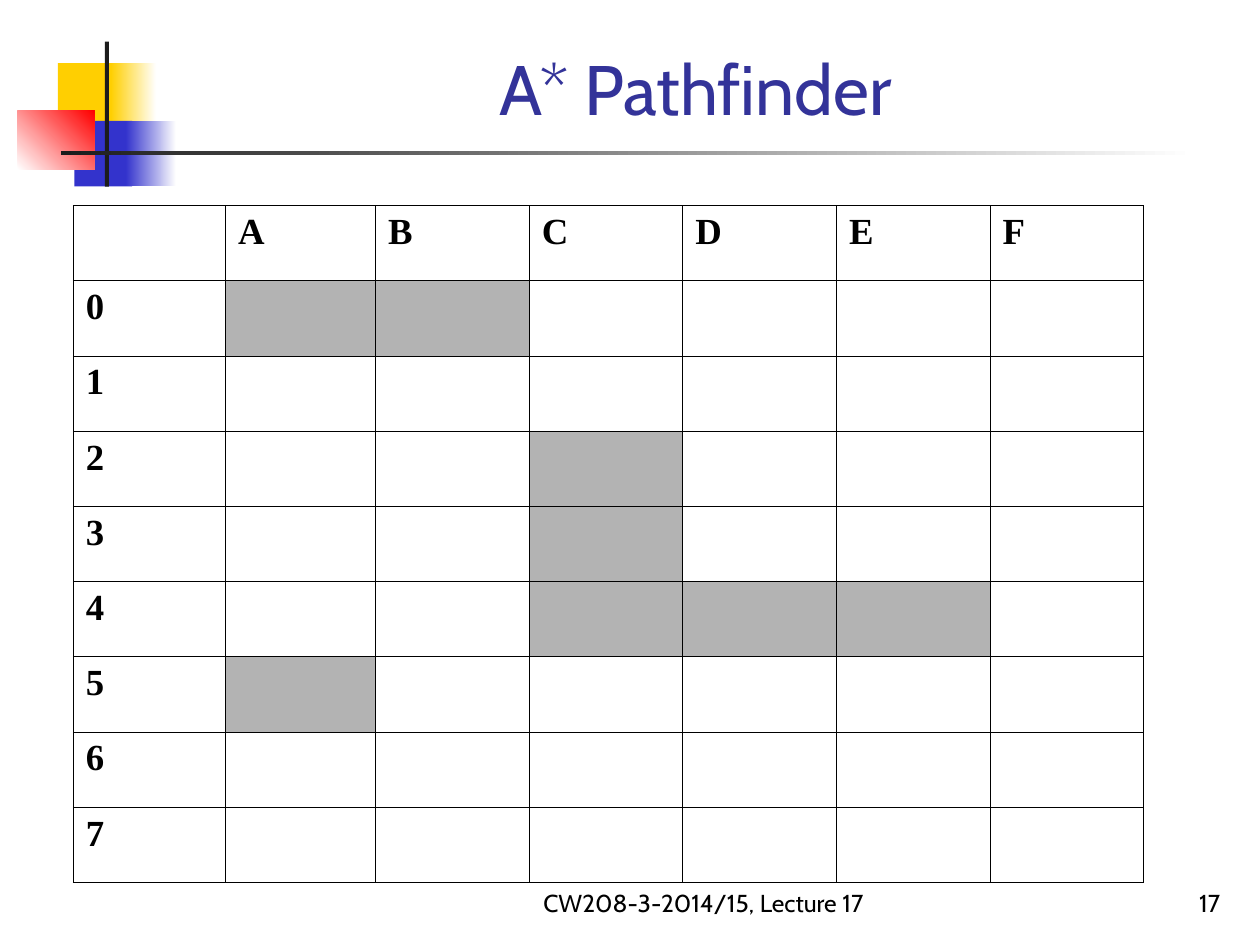
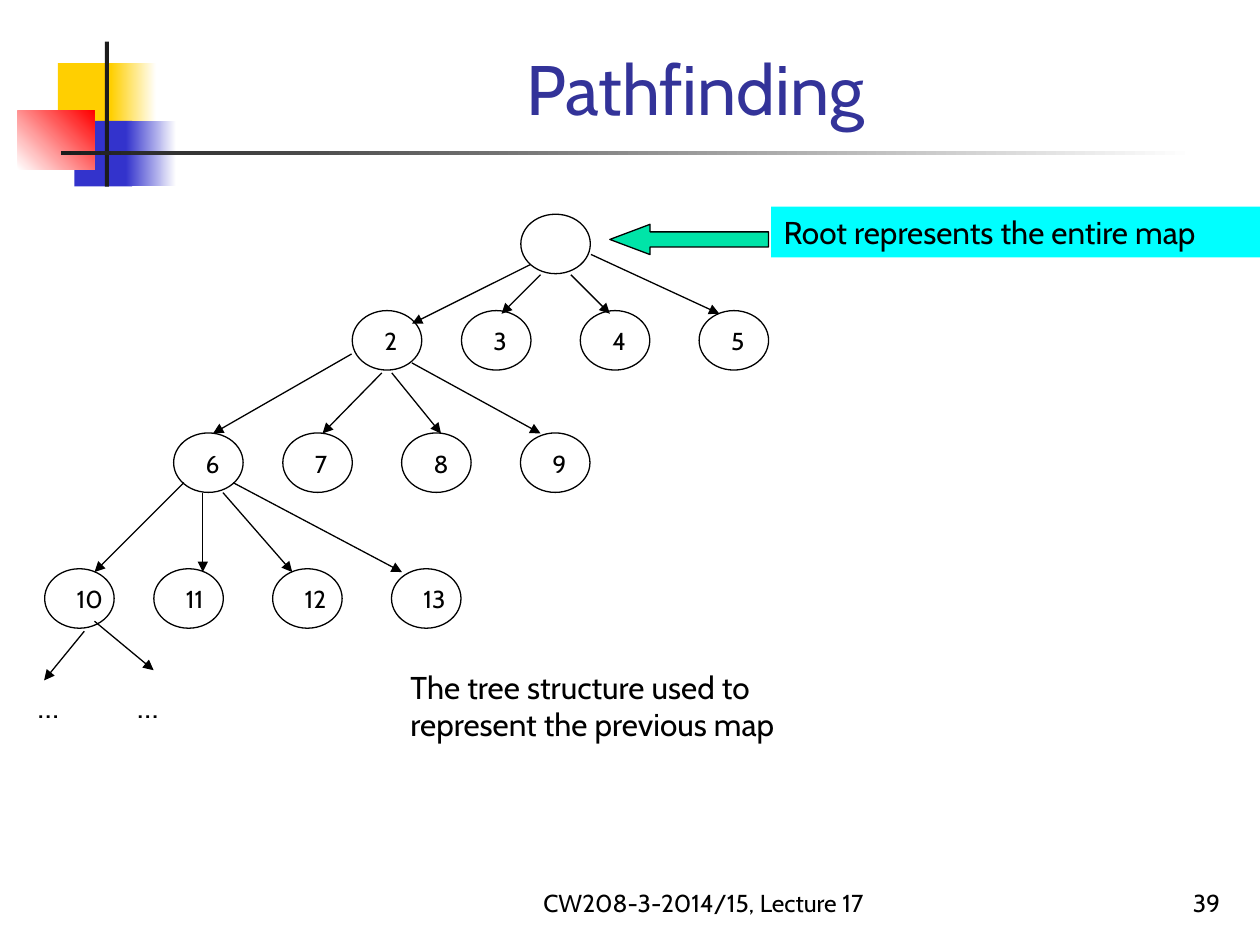
from typing import NamedTuple

from lxml import etree
from pptx import Presentation
from pptx.dml.color import RGBColor
from pptx.enum.shapes import MSO_CONNECTOR, MSO_SHAPE as Preset
from pptx.enum.text import MSO_ANCHOR as Anchor, MSO_AUTO_SIZE as AutoSize, PP_ALIGN as Align
from pptx.oxml.ns import qn
from pptx.shapes.autoshape import Shape
from pptx.slide import Slide
from pptx.table import _Cell as Cell
from pptx.util import Pt

BODY_FONT, GRID_FONT = "Cabin", "Times New Roman"
BLACK, WHITE, CHARCOAL = "000000", "FFFFFF", "1C1C1C"
YELLOW, BLUE, RED = "FFCF01", "3333CC", "FF0000"
TITLE_BLUE, WALL_GREY, CYAN, MINT = "333399", "B3B3B3", "00FFFF", "00E4A8"
FOOTER = "CW208-3-2014/15, Lecture 17"


class Area(NamedTuple):
    left: float
    top: float
    width: float
    height: float

    def in_points(self) -> tuple[Pt, ...]:
        return tuple(Pt(length) for length in self)


class Band(NamedTuple):
    area: Area
    start: str
    end: str = ""
    angle: float = 0


class Arrow(NamedTuple):
    from_x: float
    from_y: float
    to_x: float
    to_y: float


class Level(NamedTuple):
    """One row of four sibling nodes and the arrows that lead to them."""
    left: float
    top: float
    first_number: int
    arrows: list[Arrow]


BANDS = [
    Band(Area(33.1, 36, 34.6, 37.4), YELLOW),
    Band(Area(63.4, 36, 25.9, 37.4), YELLOW, WHITE),
    Band(Area(42.5, 69.1, 33.1, 37.4), BLUE),
    Band(Area(72, 69.1, 28.8, 37.4), BLUE, WHITE),
    Band(Area(10.1, 63.4, 43.9, 33.4), WHITE, RED, 45),
    Band(Area(59.9, 23.8, 2.4, 82.8), CHARCOAL),
    Band(Area(34.8, 86.4, 648, 2.3), CHARCOAL, WHITE),
]

GRID_AREA = Area(41.8, 117.4, 612, 387)
GRID_COLUMNS = "ABCDEF"
GRID_ROWS = "01234567"
GRID_WIDTHS = [87.1, 85.7] + [87.8] * 5
WALLS = {"A0", "B0", "C2", "C3", "C4", "D4", "E4", "A5"}

NODE_WIDTH, NODE_HEIGHT = 39.7, 34
ROOT_LEFT, ROOT_TOP = 297.6, 122.4
SIBLING_OFFSETS = [0, 62.4, 130.3, 198.2]
LEVELS = [
    Level(201.3, 177.5, 2, [
        Arrow(303.1, 151.2, 235.4, 185), Arrow(308.9, 157, 286.6, 179.3),
        Arrow(326.2, 157, 348.5, 179.3), Arrow(337.7, 145.4, 411.1, 179.3)]),
    Level(99.2, 247.4, 6, [
        Arrow(200.9, 202.3, 121.7, 247.7), Arrow(218.2, 213.1, 184.3, 247.7),
        Arrow(223.9, 213.1, 252, 247.7), Arrow(235.4, 207.4, 308.9, 247.7)]),
    Level(25.5, 325, 10, [
        Arrow(105.1, 275.8, 54, 326.9), Arrow(115.9, 281.5, 115.9, 326.9),
        Arrow(127.4, 281.5, 167, 326.9), Arrow(133.2, 275.8, 229.7, 326.9)]),
]
DEEPER_ARROWS = [Arrow(54, 355, 87.8, 383), Arrow(48.2, 360.7, 25.2, 388.8)]


def rgb(color: str) -> RGBColor:
    return RGBColor.from_string(color)


def add_text(slide: Slide, area: Area, lines: list[str], size: float, color: str = BLACK,
             align: Align = Align.LEFT, anchor: Anchor = Anchor.TOP, wrap: bool = False) -> Shape:
    box = slide.shapes.add_textbox(*area.in_points())
    frame = box.text_frame
    frame.text = "\n".join(lines)
    frame.word_wrap = wrap
    frame.auto_size = AutoSize.NONE if wrap else AutoSize.SHAPE_TO_FIT_TEXT
    frame.vertical_anchor = anchor
    for para in frame.paragraphs:
        para.alignment = align
        for span in para.runs:
            span.font.name = BODY_FONT
            span.font.size = Pt(size)
            span.font.color.rgb = rgb(color)
    return box


def add_outlined(slide: Slide, preset: Preset, area: Area, fill: str = "") -> Shape:
    shape = slide.shapes.add_shape(preset, *area.in_points())
    shape.shadow.inherit = False
    shape.line.color.rgb = rgb(BLACK)
    shape.line.width = Pt(0.75)
    if fill:
        shape.fill.solid()
        shape.fill.fore_color.rgb = rgb(fill)
    else:
        shape.fill.background()
    return shape


def add_band(slide: Slide, band: Band) -> None:
    shape = slide.shapes.add_shape(Preset.RECTANGLE, *band.area.in_points())
    shape.shadow.inherit = False
    shape.line.fill.background()
    if band.end:
        shape.fill.gradient()
        shape.fill.gradient_angle = band.angle
        for stop, color in zip(shape.fill.gradient_stops, (band.start, band.end)):
            stop.color.rgb = rgb(color)
    else:
        shape.fill.solid()
        shape.fill.fore_color.rgb = rgb(band.start)


def add_arrow(slide: Slide, arrow: Arrow) -> None:
    connector = slide.shapes.add_connector(MSO_CONNECTOR.STRAIGHT, *(Pt(value) for value in arrow))
    connector.line.color.rgb = rgb(BLACK)
    connector.line.width = Pt(0.75)
    properties = connector._element.spPr
    etree.SubElement(properties.find(qn("a:ln")), qn("a:tailEnd"), type="triangle")
    etree.SubElement(properties, qn("a:effectLst"))


def add_page(deck: Presentation, title: str, number: int) -> Slide:
    page = deck.slides.add_slide(deck.slide_layouts[6])
    for band in BANDS:
        add_band(page, band)
    add_text(page, Area(288, 491.8, 228, 36), [FOOTER], 14,
             align=Align.CENTER, anchor=Anchor.BOTTOM, wrap=True)
    add_text(page, Area(554.4, 491.8, 150, 36), [str(number)], 14,
             align=Align.RIGHT, anchor=Anchor.BOTTOM, wrap=True)
    add_text(page, Area(90.7, 16.6, 613.4, 61.2), [title], 40, TITLE_BLUE,
             Align.CENTER, Anchor.BOTTOM, wrap=True)
    return page


def add_borders(cell: Cell) -> None:
    properties = cell._tc.get_or_add_tcPr()
    for side in ("lnL", "lnR", "lnT", "lnB"):
        line = etree.SubElement(properties, qn(f"a:{side}"), w=str(Pt(0.45)))
        fill = etree.SubElement(line, qn("a:solidFill"))
        etree.SubElement(fill, qn("a:srgbClr"), val=BLACK)


def format_cell(cell: Cell, text: str, is_wall: bool) -> None:
    add_borders(cell)
    if is_wall:
        cell.fill.solid()
        cell.fill.fore_color.rgb = rgb(WALL_GREY)
    else:
        cell.fill.background()
    cell.text = text
    for span in cell.text_frame.paragraphs[0].runs:
        span.font.name = GRID_FONT
        span.font.size = Pt(21)
        span.font.bold = True
        span.font.color.rgb = rgb(BLACK)


def add_map_grid(slide: Slide) -> None:
    headings, labels = ["", *GRID_COLUMNS], ["", *GRID_ROWS]
    table = slide.shapes.add_table(len(labels), len(headings), *GRID_AREA.in_points()).table
    table.first_row = table.horz_banding = False
    for column, width in zip(table.columns, GRID_WIDTHS):
        column.width = Pt(width)
    for row, label in enumerate(labels):
        for column, heading in enumerate(headings):
            text = "" if row and column else heading + label
            format_cell(table.cell(row, column), text, heading + label in WALLS)


def add_node(slide: Slide, left: float, top: float, label: str = "") -> None:
    add_outlined(slide, Preset.OVAL, Area(left, top, NODE_WIDTH, NODE_HEIGHT))
    if label:
        width = 22.3 if len(label) == 1 else 30.2
        add_text(slide, Area(left + 11.2, top + 5.4, width, 24.5), [label], 14)


def add_tree(slide: Slide) -> None:
    add_node(slide, ROOT_LEFT, ROOT_TOP)
    for level in LEVELS:
        for number, offset in enumerate(SIBLING_OFFSETS, level.first_number):
            add_node(slide, level.left + offset, level.top, str(number))
        for arrow in level.arrows:
            add_arrow(slide, arrow)
    for arrow in DEEPER_ARROWS:
        add_arrow(slide, arrow)
    for left in (14.4, 71.3):
        add_text(slide, Area(left, 388.8, 28.8, 28.8), ["…"], 18)


def add_tree_notes(slide: Slide) -> None:
    callout = add_text(slide, Area(440.7, 118.1, 279.3, 29), ["Root represents the entire map"], 18)
    callout.fill.solid()
    callout.fill.fore_color.rgb = rgb(CYAN)
    pointer = add_outlined(slide, Preset.LEFT_ARROW, Area(348.5, 128.2, 90.7, 17.3), MINT)
    pointer.adjustments[0] = 0.5
    pointer.adjustments[1] = 1.33
    add_text(slide, Area(227.5, 378, 249.8, 50.4),
             ["The tree structure used to", "represent the previous map"], 18)


def main() -> None:
    deck = Presentation()
    deck.slide_width, deck.slide_height = Pt(720), Pt(540)
    add_map_grid(add_page(deck, "A* Pathfinder", 17))
    tree_page = add_page(deck, "Pathfinding", 39)
    add_tree(tree_page)
    add_tree_notes(tree_page)
    deck.save("out.pptx")


if __name__ == "__main__":
    main()
